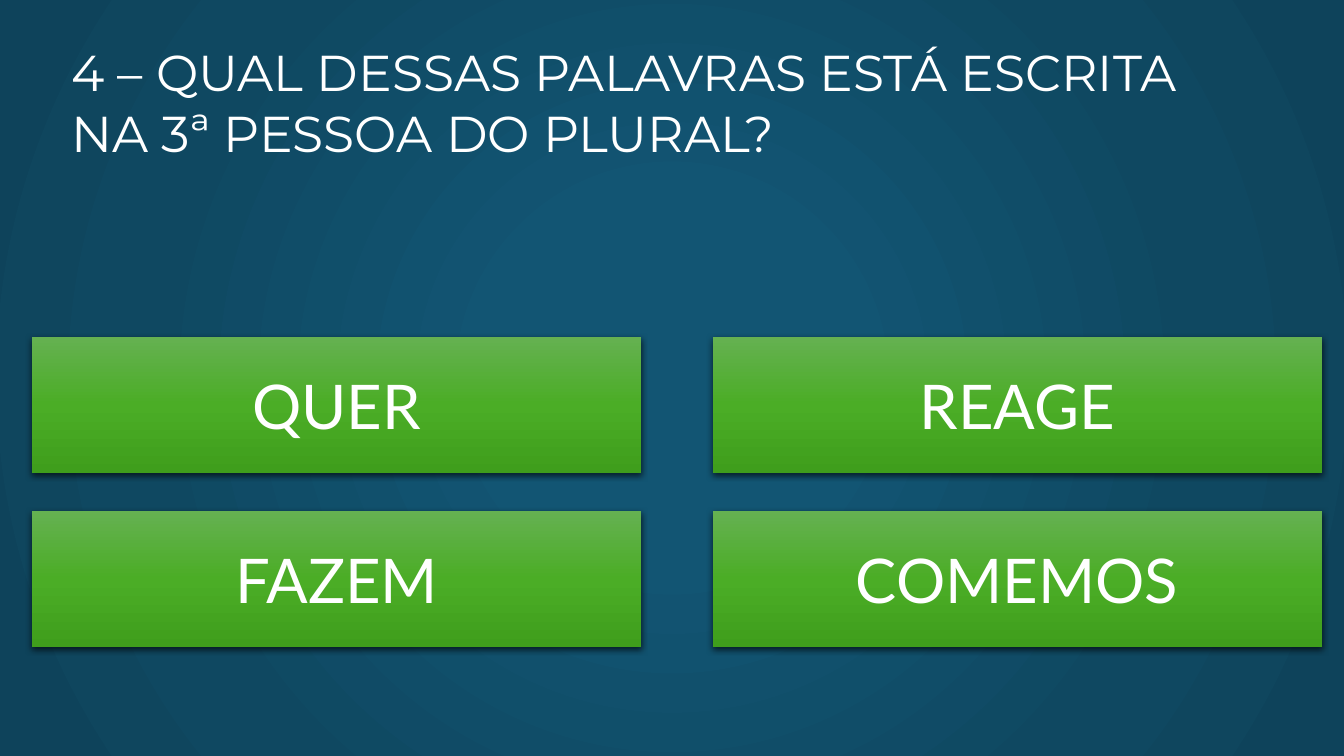
from lxml.etree import SubElement
from pptx import Presentation
from pptx.dml.color import RGBColor
from pptx.enum.shapes import MSO_SHAPE
from pptx.enum.text import MSO_ANCHOR, MSO_AUTO_SIZE, PP_ALIGN
from pptx.oxml import parse_xml
from pptx.oxml.ns import nsdecls, qn
from pptx.util import Inches, Pt

HUES = {
    "text": "FFFFFF",
    "shade": "000000",
    "core": "125573",
    "ring": "0F4861",
    "edge": "0E435B",
    "light": "65B151",
    "green": "4BAD26",
    "deep": "3F9E1C",
}
GLOW = [(0, "core"), (23, "core"), (69, "ring"), (97, "edge"), (100, "edge")]
LEAF = [(0, "light"), (50, "green"), (100, "deep")]
RADIAL = (
    '<a:path path="circle">'
    '<a:fillToRect l="50000" t="50000" r="50000" b="50000"/></a:path>'
)
DOWN = '<a:lin ang="5400000" scaled="0"/>'


def write(frame, text, font="Lato", size=44, hue="text", align=PP_ALIGN.LEFT,
          anchor=MSO_ANCHOR.TOP, fit=MSO_AUTO_SIZE.NONE):
    frame.word_wrap = True
    frame.auto_size = fit
    frame.vertical_anchor = anchor
    para = frame.paragraphs[0]
    para.alignment = align
    run = para.add_run()
    run.text = text
    run.font.name = font
    run.font.size = Pt(size)
    run.font.color.rgb = RGBColor.from_string(HUES[hue])


class Quiz:
    def __init__(self, deck):
        self.slide = deck.slides.add_slide(deck.slide_layouts[6])

    def blend(self, fill, root, stops, course):
        fill.gradient()
        marks = "".join(
            f'<a:gs pos="{pos * 1000}"><a:srgbClr val="{HUES[hue]}"/></a:gs>'
            for pos, hue in stops
        )
        grad = parse_xml(
            f'<a:gradFill {nsdecls("a")} rotWithShape="1">'
            f"<a:gsLst>{marks}</a:gsLst>{course}</a:gradFill>"
        )
        old = root.find(".//" + qn("a:gradFill"))
        old.getparent().replace(old, grad)

    def backdrop(self):
        self.blend(self.slide.background.fill, self.slide.element, GLOW, RADIAL)

    def shadow(self, shape):
        shape.shadow.inherit = False
        effects = shape.element.spPr.find(qn("a:effectLst"))
        outer = SubElement(
            effects, qn("a:outerShdw"), blurRad=str(Pt(4.5)),
            dist=str(Pt(1.5)), dir="5400000", algn="ctr", rotWithShape="0",
        )
        shade = SubElement(outer, qn("a:srgbClr"), val=HUES["shade"])
        SubElement(shade, qn("a:alpha"), val="63000")

    def title(self, text, left, top, width, height):
        box = self.slide.shapes.add_textbox(
            Inches(left), Inches(top), Inches(width), Inches(height))
        write(box.text_frame, text, font="Montserrat", size=36,
              fit=MSO_AUTO_SIZE.SHAPE_TO_FIT_TEXT)

    def answer(self, text, left, top, width, height):
        shape = self.slide.shapes.add_shape(
            MSO_SHAPE.RECTANGLE,
            Inches(left), Inches(top), Inches(width), Inches(height))
        self.blend(shape.fill, shape.element.spPr, LEAF, DOWN)
        shape.line.fill.background()
        self.shadow(shape)
        write(shape.text_frame, text, align=PP_ALIGN.CENTER,
              anchor=MSO_ANCHOR.MIDDLE)


def main():
    deck = Presentation()
    deck.slide_width = Inches(13.33)
    deck.slide_height = Inches(7.5)
    quiz = Quiz(deck)
    quiz.backdrop()
    for index, word in enumerate(["QUER", "REAGE", "FAZEM", "COMEMOS"]):
        row, col = divmod(index, 2)
        quiz.answer(word, 0.32 + col * 6.75, 3.34 + row * 1.73, 6.04, 1.35)
    quiz.title(
        "4 – QUAL DESSAS PALAVRAS ESTÁ ESCRITA NA 3ª PESSOA DO PLURAL?",
        0.61, 0.36, 11.91, 1.31)
    deck.save("out.pptx")


if __name__ == "__main__":
    main()
